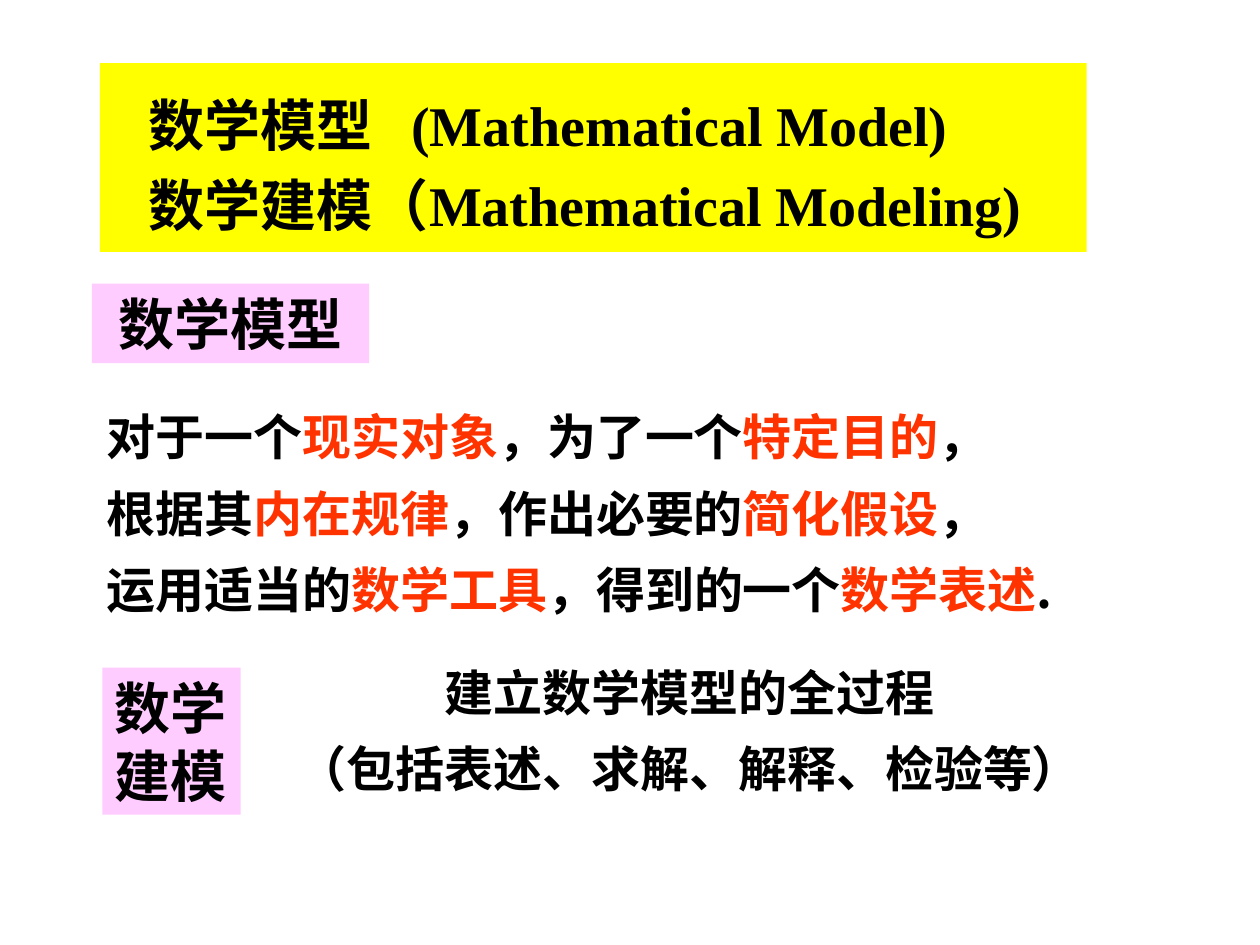
import pptx
import pptx.dml.color
import pptx.enum.text
import pptx.oxml
import pptx.oxml.ns
import pptx.util
from lxml import etree

Pt = pptx.util.Pt
ALIGN = pptx.enum.text.PP_ALIGN
ANCHOR = pptx.enum.text.MSO_ANCHOR
COLORS = {"text": "000000", "key": "FF3300", "banner": "FFFF00", "label": "FFCCFF"}
SERIF = "Times New Roman"
SANS = "Noto Sans CJK SC"


def rgb(name):
    return pptx.dml.color.RGBColor.from_string(COLORS[name])


def write_text(sp, lines, size=28, font=SERIF, align=ALIGN.LEFT, spacing=1.0,
               anchor=ANCHOR.MIDDLE, wrap=False, left=7.2):
    tf = sp.text_frame
    tf.auto_size = pptx.enum.text.MSO_AUTO_SIZE.NONE
    tf.word_wrap = wrap
    tf.vertical_anchor = anchor
    tf.margin_left, tf.margin_right = Pt(left), Pt(7.2)
    tf.margin_top = tf.margin_bottom = Pt(3.6)
    for i, line in enumerate(lines):
        p = tf.paragraphs[0] if i == 0 else tf.add_paragraph()
        p.alignment = align
        p.line_spacing = spacing
        p.space_before = Pt(0)
        for j, part in enumerate(line.split("*")):
            if not part:
                continue
            r = p.add_run()
            r.text = part
            r.font.size = Pt(size)
            r.font.bold = True
            r.font.name = font
            r.font.color.rgb = rgb("key" if j % 2 else "text")
            ea = etree.SubElement(r.font._element, pptx.oxml.ns.qn("a:ea"))
            ea.set("typeface", SANS)


def fill_box(sp, color):
    sp.fill.solid()
    sp.fill.fore_color.rgb = rgb(color)


def add_banner(s, x, y, w, h):
    sp = s.shapes.title
    sp.left, sp.top, sp.width, sp.height = Pt(x), Pt(y), Pt(w), Pt(h)
    fill_box(sp, "banner")
    write_text(sp, ["数学模型\t(Mathematical Model)", "数学建模（Mathematical Modeling)"],
               size=32, spacing=1.2, wrap=True, left=28)
    pPr = sp.text_frame.paragraphs[0]._p.get_or_add_pPr()
    tabs = etree.SubElement(pPr, pptx.oxml.ns.qn("a:tabLst"))
    etree.SubElement(tabs, pptx.oxml.ns.qn("a:tab"), pos=str(Pt(150)), algn="l")


def add_label(s, x, y, w, h, text, align):
    sp = s.shapes.add_textbox(Pt(x), Pt(y), Pt(w), Pt(h))
    fill_box(sp, "label")
    write_text(sp, [text], size=32, align=align, anchor=ANCHOR.TOP, wrap=True)


def add_body(s, x, y, w, h, lines, **fmt):
    sp = s.shapes.add_textbox(Pt(x), Pt(y), Pt(w), Pt(h))
    write_text(sp, lines, spacing=1.3, **fmt)


def main():
    prs = pptx.Presentation()
    prs.slide_width, prs.slide_height = Pt(720), Pt(540)
    s = prs.slides.add_slide(prs.slide_layouts[5])
    add_banner(s, 57, 36, 564, 108)
    add_body(s, 54, 223, 572, 130, [
        "对于一个*现实对象*，为了一个*特定目的*，",
        "根据其*内在规律*，作出必要的*简化假设*，",
        "运用适当的*数学工具*，得到的一个*数学表述*.",
    ], font=SANS)
    add_body(s, 167, 361, 454, 102,
             ["建立数学模型的全过程", "（包括表述、求解、解释、检验等）"], align=ALIGN.CENTER)
    add_label(s, 52.5, 162, 158.5, 45.5, "数学模型", ALIGN.CENTER)
    add_label(s, 58.5, 381.5, 79, 84, "数学建模", ALIGN.LEFT)
    prs.save("out.pptx")


if __name__ == "__main__":
    main()
